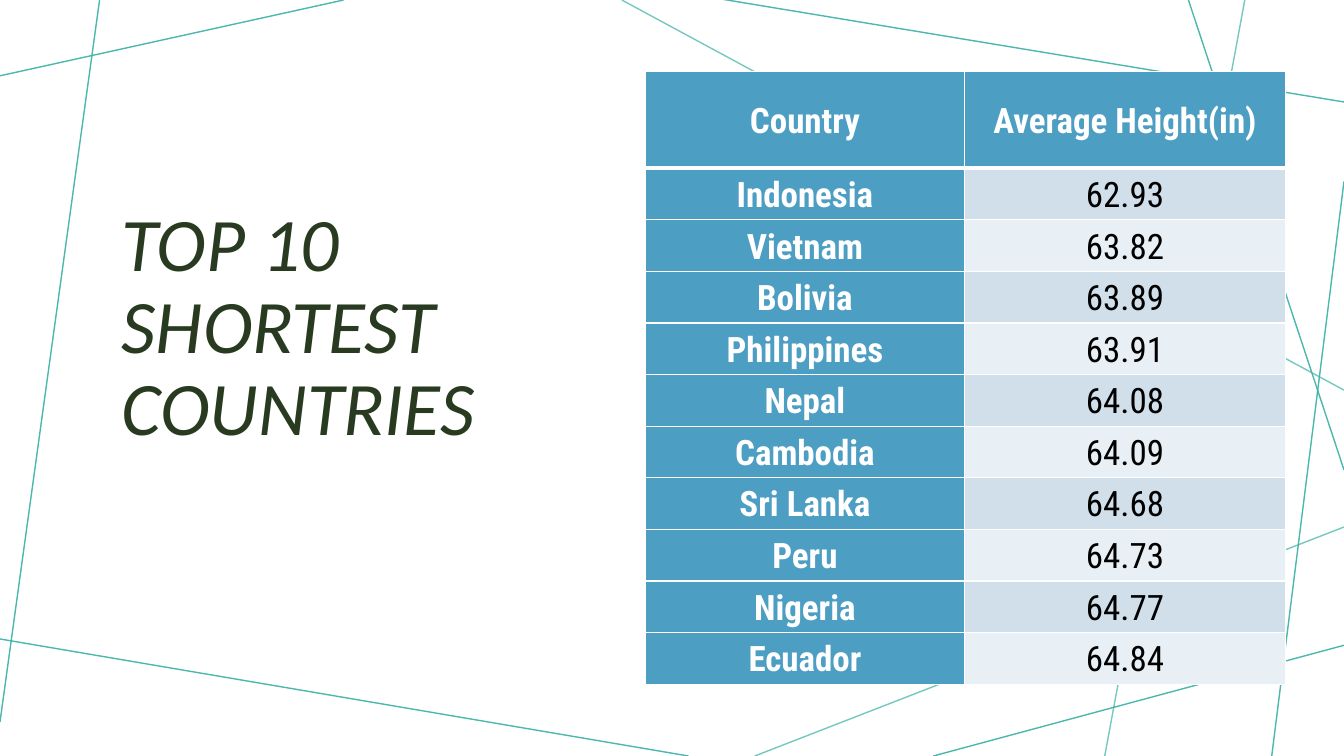
from dataclasses import dataclass

from lxml.etree import SubElement
from pptx import Presentation
from pptx.dml.color import RGBColor
from pptx.enum.shapes import MSO_CONNECTOR
from pptx.enum.text import MSO_ANCHOR, PP_ALIGN
from pptx.oxml.ns import qn
from pptx.util import Cm, Pt


@dataclass(frozen=True)
class Theme:
    teal: str = "3BB1A5"
    blue: str = "4D9EC3"
    bands: tuple = ("D0DFE9", "E9F0F5")
    green: str = "283B21"
    white: str = "FFFFFF"
    black: str = "000000"
    head_font: str = "Calibri"
    body_font: str = "Roboto Condensed"
    head_size: int = 54
    body_size: int = 25


THEME = Theme()
WIDE, HIGH = 33.87, 19.05

# Start x, start y, end x, end y in centimetres
STRONG = [
    (8.66, 0, 0, 1.91),
    (2.51, 0, 0, 18.19),
    (17.35, HIGH, -0.13, 16.08),
    (WIDE, 16.26, 23.52, HIGH),
    (WIDE, 4.57, 32.05, HIGH),
    (WIDE, 11.84, 29.95, 0),
    (WIDE, 2.57, 18.14, -0.03),
]
FAINT = [
    (15.67, 0, WIDE, 9.83),
    (WIDE, 13.28, 19.02, HIGH),
    (27.84, HIGH, 31.37, 0),
]

ROWS = [
    ("Country", "Average Height(in)"),
    ("Indonesia", "62.93"),
    ("Vietnam", "63.82"),
    ("Bolivia", "63.89"),
    ("Philippines", "63.91"),
    ("Nepal", "64.08"),
    ("Cambodia", "64.09"),
    ("Sri Lanka", "64.68"),
    ("Peru", "64.73"),
    ("Nigeria", "64.77"),
    ("Ecuador", "64.84"),
]


def write(frame, text, *, font, size, color, bold=False, italic=False,
          align=PP_ALIGN.LEFT, spacing=1.0):
    para = frame.paragraphs[0]
    para.alignment = align
    para.line_spacing = spacing
    run = para.add_run()
    run.text = text
    run.font.name = font
    run.font.size = Pt(size)
    run.font.bold = bold
    run.font.italic = italic
    run.font.color.rgb = RGBColor.from_string(color)


def add_line(slide, ends, alpha):
    """Draw a thin teal line; alpha is its opacity in percent."""
    line = slide.shapes.add_connector(MSO_CONNECTOR.STRAIGHT, *map(Cm, ends))
    line.line.width = Pt(1)
    line.line.color.rgb = RGBColor.from_string(THEME.teal)
    props = line._element.spPr
    color = props.find(".//" + qn("a:srgbClr"))
    SubElement(color, qn("a:alpha"), val=str(alpha * 1000))
    SubElement(props, qn("a:effectLst"))


def add_title(slide, text):
    box = slide.shapes.add_textbox(Cm(2.82), Cm(1.47), Cm(12.47), Cm(10.03))
    frame = box.text_frame
    frame.word_wrap = True
    frame.vertical_anchor = MSO_ANCHOR.BOTTOM
    write(frame, text, font=THEME.head_font, size=THEME.head_size,
          color=THEME.green, italic=True, spacing=0.9)


def set_edges(cell, **widths):
    """Give the cell white borders, 1 pt wide unless T or B says otherwise."""
    props = cell._tc.get_or_add_tcPr()
    for side in "LRTB":
        edge = SubElement(props, qn(f"a:ln{side}"), w=str(Pt(widths.get(side, 1))))
        fill = SubElement(edge, qn("a:solidFill"))
        SubElement(fill, qn("a:srgbClr"), val=THEME.white)


def fill_cell(cell, text, row, col):
    strong = row == 0 or col == 0
    cell.vertical_anchor = MSO_ANCHOR.MIDDLE
    cell.margin_left = cell.margin_right = Cm(0.43)
    cell.margin_top = cell.margin_bottom = 0
    set_edges(cell, T=3 if row == 1 else 1, B=3 if row == 0 else 1)
    cell.fill.solid()
    shade = THEME.blue if strong else THEME.bands[(row - 1) % 2]
    cell.fill.fore_color.rgb = RGBColor.from_string(shade)
    write(cell.text_frame, text, font=THEME.body_font, size=THEME.body_size,
          color=THEME.white if strong else THEME.black, bold=strong,
          align=PP_ALIGN.CENTER, spacing=1.07)


def add_grid(slide, rows):
    shape = slide.shapes.add_table(len(rows), 2, Cm(16.26), Cm(1.8),
                                   Cm(16.13), Cm(15.44))
    table = shape.table
    table.first_col = True
    table.horz_banding = False
    for col, width in zip(table.columns, (8.05, 8.08)):
        col.width = Cm(width)
    for r, texts in enumerate(rows):
        table.rows[r].height = Cm(1.3 if r else 2.44)
        for c, text in enumerate(texts):
            fill_cell(table.cell(r, c), text, r, c)


def main():
    deck = Presentation()
    deck.slide_width, deck.slide_height = Cm(WIDE), Cm(HIGH)
    slide = deck.slides.add_slide(deck.slide_layouts[6])
    for ends in STRONG:
        add_line(slide, ends, 91)
    add_title(slide, "TOP 10 SHORTEST COUNTRIES")
    for ends in FAINT:
        add_line(slide, ends, 70)
    add_grid(slide, ROWS)
    deck.save("out.pptx")


if __name__ == "__main__":
    main()
